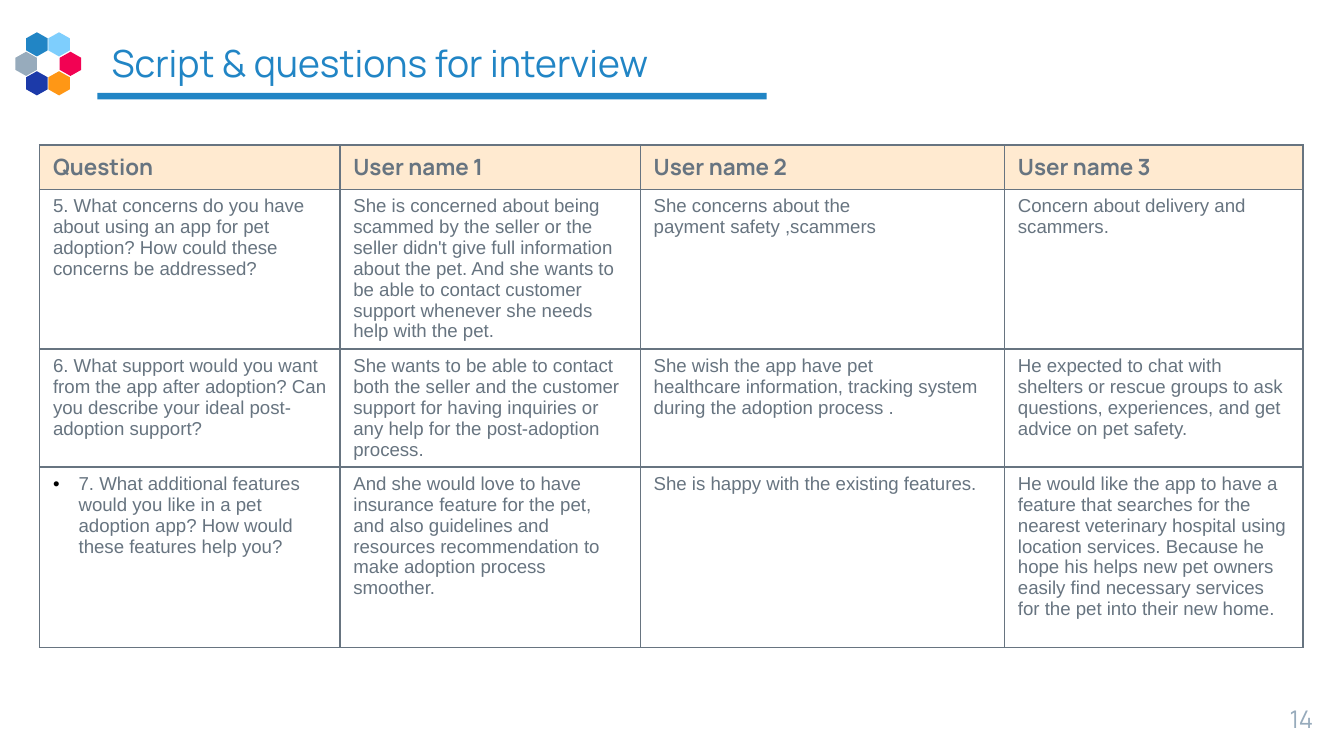
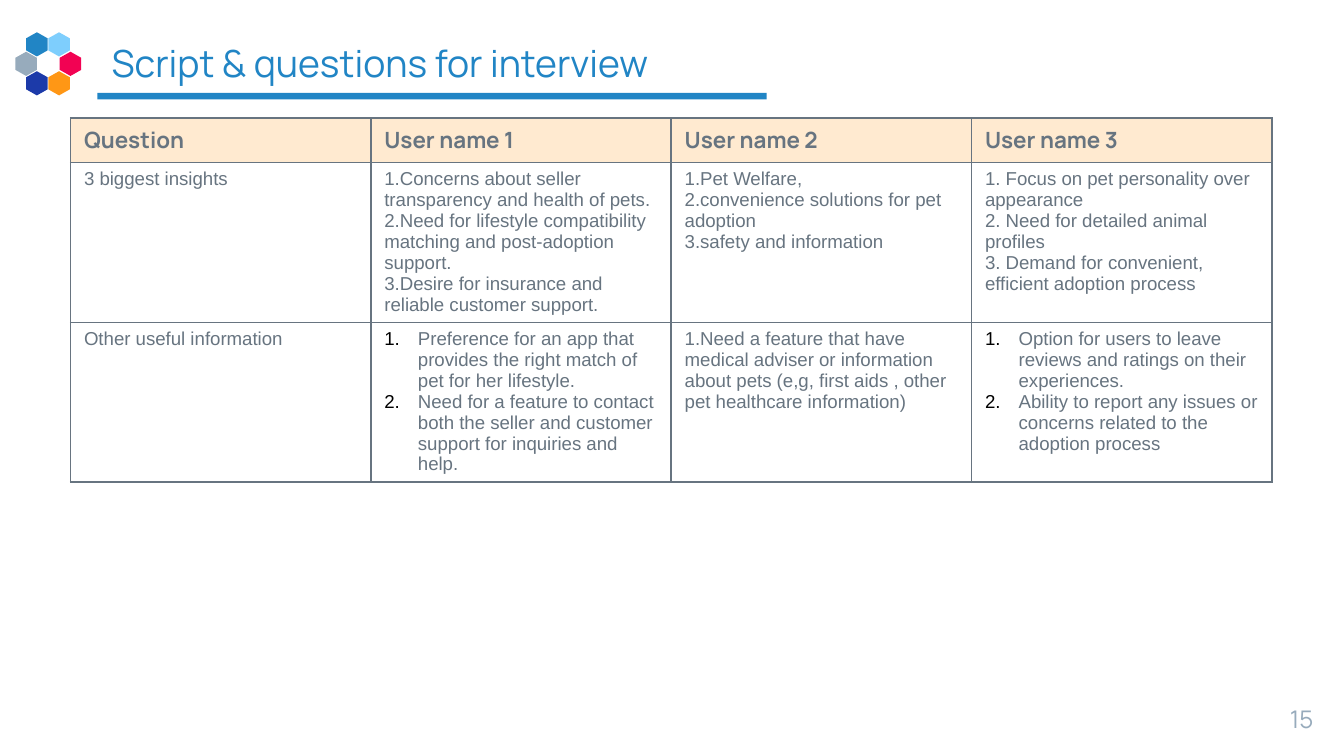
from dataclasses import dataclass
from enum import Enum
from typing import NamedTuple

from lxml import etree
from pptx import Presentation
from pptx import util as u
from pptx.dml.color import RGBColor
from pptx.enum import text
from pptx.enum import shapes
from pptx.oxml import ns

EMU_PER_PX = 4572  # 200 px to the inch
TIE = "~"  # stands for a no-break space in the wording below
NO_BREAK_SPACE = chr(160)


@dataclass(frozen=True)
class Theme:
    accent: str = "2185C5"
    ink: str = "677480"
    muted: str = "97ABBC"
    marker: str = "000000"
    header_fill: str = "FFEAD0"
    sky: str = "7ECEFD"
    red: str = "F20253"
    orange: str = "FF9715"
    navy: str = "1C3AA9"
    display_font: str = "Manrope"
    body_font: str = "Arial"
    title_size: int = 20
    number_size: int = 13
    header_size: int = 12
    body_size: int = 10
    border_width: int = 1


THEME = Theme()


class Box(NamedTuple):
    left: int
    top: int
    width: int
    height: int

    def emu(self) -> tuple[u.Emu, ...]:
        return tuple(px(length) for length in self)


class Hexagon(NamedTuple):
    left: int
    top: int
    color: str


class Marker(Enum):
    """Kind of list marker; the value is its hanging indent in px."""
    NONE = 0
    BULLET = 38
    NUMBER = 50


class Answer(NamedTuple):
    lines: tuple[str, ...]
    marker: Marker = Marker.NONE


class Interview(NamedTuple):
    number: int
    left: int
    top: int
    column_widths: tuple[int, ...]
    row_heights: tuple[int, ...]
    headings: tuple[Answer, ...]
    answers: tuple[tuple[Answer, ...], ...]


def px(length: int) -> u.Emu:
    return u.Emu(length * EMU_PER_PX)


def plain(*lines: str) -> Answer:
    return Answer(lines)


def numbered(*lines: str) -> Answer:
    return Answer(lines, Marker.NUMBER)


def headings(*names: str) -> tuple[Answer, ...]:
    return tuple(plain(name) for name in ("Question", *names))


SLIDE_WIDTH, SLIDE_HEIGHT = 2000, 1125
TITLE = "Script & questions for interview"
TITLE_BOX = Box(146, 49, 1710, 88)
UNDERLINE_BOX = Box(145, 138, 996, 10)
NUMBER_BOX = Box(1854, 1028, 120, 68)
TEXT_INSET = 20

HEXAGON_OUTLINE = ((16, 0), (32, 9), (32, 27), (16, 36), (0, 27), (0, 9))
HEXAGONS = (
    Hexagon(72, 48, THEME.sky),
    Hexagon(39, 48, THEME.accent),
    Hexagon(23, 77, THEME.muted),
    Hexagon(89, 77, THEME.red),
    Hexagon(72, 106, THEME.orange),
    Hexagon(39, 106, THEME.navy),
)

INTERVIEWS = (
    Interview(14, 59, 216, (447, 447, 542, 444), (65, 238, 174, 269),
              headings("User name 1", "User name 2~", "User name 3"), (
        (
            plain("5.~What concerns do you have about using an app for pet adoption?~"
                  "How could these concerns be addressed?"),
            plain("She is concerned about being scammed by the seller or the seller "
                  "didn't give full information about the pet. And she wants to be able "
                  "to contact customer support whenever she needs help with the pet."),
            plain("She~concerns about the payment~safety~,scammers"),
            plain("Concern about delivery and scammers."),
        ),
        (
            plain("6.~What support would you want from the app after adoption? "
                  "Can you describe your ideal post-adoption support?"),
            plain("She wants to be able to contact both the seller and the customer "
                  "support for having inquiries or any help for the post-adoption process."),
            plain("She~wish~the app have~pet healthcare~information, tracking system "
                  "during the adoption process~."),
            plain("He expected to chat with shelters or rescue groups to ask questions, "
                  "experiences, and get advice on pet safety."),
        ),
        (
            Answer(("7. What additional~features would you like in a pet adoption app?~"
                    "How would these features help you?".replace("7. ", "7.~"),),
                   Marker.BULLET),
            plain("And she would love to have insurance feature for the pet, and also "
                  "guidelines and resources recommendation to make adoption process "
                  "smoother."),
            plain("She~is~happy~with~the~existing~features."),
            plain("He would like the app to have a feature that searches for the nearest "
                  "veterinary hospital using location services. Because he hope his helps "
                  "new pet owners easily find necessary services for the pet into their "
                  "new home."),
        ),
    )),
    Interview(15, 105, 176, (447,) * 4, (65, 238, 238),
              headings("User name 1", "User name 2", "User name 3"), (
        (
            plain("3 biggest insights"),
            plain("1.Concerns about seller transparency and health of pets.",
                  "2.Need for lifestyle compatibility matching and post-adoption support.",
                  "3.Desire for insurance and reliable customer support."),
            plain("1.Pet~Welfare,~",
                  "2.convenience~solutions~for pet adoption",
                  "3.safety and information"),
            plain("1. Focus on pet personality over appearance",
                  "2. Need for detailed animal profiles",
                  "3. Demand for convenient, efficient adoption process"),
        ),
        (
            plain("Other useful information"),
            numbered("Preference for an app that provides the right match of pet for "
                     "her lifestyle.",
                     "Need for a feature to contact both the seller and customer support "
                     "for inquiries and help."),
            plain("1.Need a feature that have medical adviser or information about pets "
                  "(e,g, first aids , other pet healthcare information)"),
            numbered("Option for users to leave reviews and ratings on their experiences.",
                     "Ability to report any issues or concerns related to the adoption "
                     "process"),
        ),
    )),
)


def style_runs(frame, font: str, size: int, color: str, bold: bool = False) -> None:
    for paragraph in frame.paragraphs:
        for run in paragraph.runs:
            run.font.name = font
            run.font.size = u.Pt(size)
            run.font.bold = bold
            run.font.color.rgb = RGBColor.from_string(color)


def set_insets(frame) -> None:
    frame.margin_left = frame.margin_right = px(TEXT_INSET)
    frame.margin_top = frame.margin_bottom = px(TEXT_INSET)
    frame.word_wrap = True
    frame.auto_size = text.MSO_AUTO_SIZE.NONE


def paint(shape, color: str) -> None:
    shape.shadow.inherit = False
    shape.fill.solid()
    shape.fill.fore_color.rgb = RGBColor.from_string(color)
    shape.line.fill.background()


def add_color(parent, tag: str, color: str) -> None:
    holder = etree.SubElement(parent, ns.qn(tag))
    etree.SubElement(holder, ns.qn("a:srgbClr"), val=color)


def mark_paragraph(paragraph, marker: Marker) -> None:
    """Give a paragraph a hanging bullet or number."""
    properties = paragraph._p.get_or_add_pPr()
    properties.set("marL", str(px(marker.value)))
    properties.set("indent", str(-px(marker.value)))
    add_color(properties, "a:buClr", THEME.marker)
    etree.SubElement(properties, ns.qn("a:buFont"), typeface=THEME.body_font)
    if marker is Marker.BULLET:
        etree.SubElement(properties, ns.qn("a:buChar"), char="•")
    else:
        etree.SubElement(properties, ns.qn("a:buAutoNum"), type="arabicPeriod")


def border_cell(cell) -> None:
    properties = cell._tc.get_or_add_tcPr()
    for position, side in enumerate(("a:lnL", "a:lnR", "a:lnT", "a:lnB")):
        edge = etree.Element(ns.qn(side), w=str(u.Pt(THEME.border_width)))
        add_color(edge, "a:solidFill", THEME.ink)
        properties.insert(position, edge)


def fill_cell(cell, answer: Answer, is_heading: bool) -> None:
    frame = cell.text_frame
    frame.text = "\n".join(answer.lines).replace(TIE, NO_BREAK_SPACE)
    if is_heading:
        style_runs(frame, THEME.display_font, THEME.header_size, THEME.ink, bold=True)
        cell.fill.solid()
        cell.fill.fore_color.rgb = RGBColor.from_string(THEME.header_fill)
    else:
        style_runs(frame, THEME.body_font, THEME.body_size, THEME.ink)
        cell.fill.background()
    if answer.marker is not Marker.NONE:
        for paragraph in frame.paragraphs:
            mark_paragraph(paragraph, answer.marker)
    border_cell(cell)


def add_answers(slide, interview: Interview) -> None:
    rows = (interview.headings, *interview.answers)
    box = Box(interview.left, interview.top,
              sum(interview.column_widths), sum(interview.row_heights))
    grid = slide.shapes.add_table(len(rows), len(interview.headings), *box.emu()).table
    grid.horz_banding = False
    for column, width in zip(grid.columns, interview.column_widths):
        column.width = px(width)
    for row, height in zip(grid.rows, interview.row_heights):
        row.height = px(height)
    for r, answers in enumerate(rows):
        for c, answer in enumerate(answers):
            fill_cell(grid.cell(r, c), answer, is_heading=r == 0)


def add_ornament(slide) -> None:
    underline = slide.shapes.add_shape(shapes.MSO_SHAPE.RECTANGLE, *UNDERLINE_BOX.emu())
    paint(underline, THEME.accent)
    for hexagon in HEXAGONS:
        corners = [(hexagon.left + x, hexagon.top + y) for x, y in HEXAGON_OUTLINE]
        outline = slide.shapes.build_freeform(*corners[0], scale=EMU_PER_PX)
        outline.add_line_segments(corners[1:], close=True)
        paint(outline.convert_to_shape(), hexagon.color)


def add_title(slide) -> None:
    title = slide.shapes.title
    title.left, title.top, title.width, title.height = TITLE_BOX.emu()
    frame = title.text_frame
    frame.text = TITLE
    set_insets(frame)
    frame.vertical_anchor = text.MSO_ANCHOR.MIDDLE
    frame.paragraphs[0].alignment = text.PP_ALIGN.LEFT
    style_runs(frame, THEME.display_font, THEME.title_size, THEME.accent)


def add_page_number(slide, number: int) -> None:
    frame = slide.shapes.add_textbox(*NUMBER_BOX.emu()).text_frame
    frame.text = str(number)
    set_insets(frame)
    frame.paragraphs[0].alignment = text.PP_ALIGN.RIGHT
    style_runs(frame, THEME.display_font, THEME.number_size, THEME.muted)


def main() -> None:
    deck = Presentation()
    deck.slide_width, deck.slide_height = px(SLIDE_WIDTH), px(SLIDE_HEIGHT)
    title_only = deck.slide_layouts[5]
    for interview in INTERVIEWS:
        slide = deck.slides.add_slide(title_only)
        add_ornament(slide)
        add_title(slide)
        add_page_number(slide, interview.number)
        add_answers(slide, interview)
    deck.save("out.pptx")


if __name__ == "__main__":
    main()
